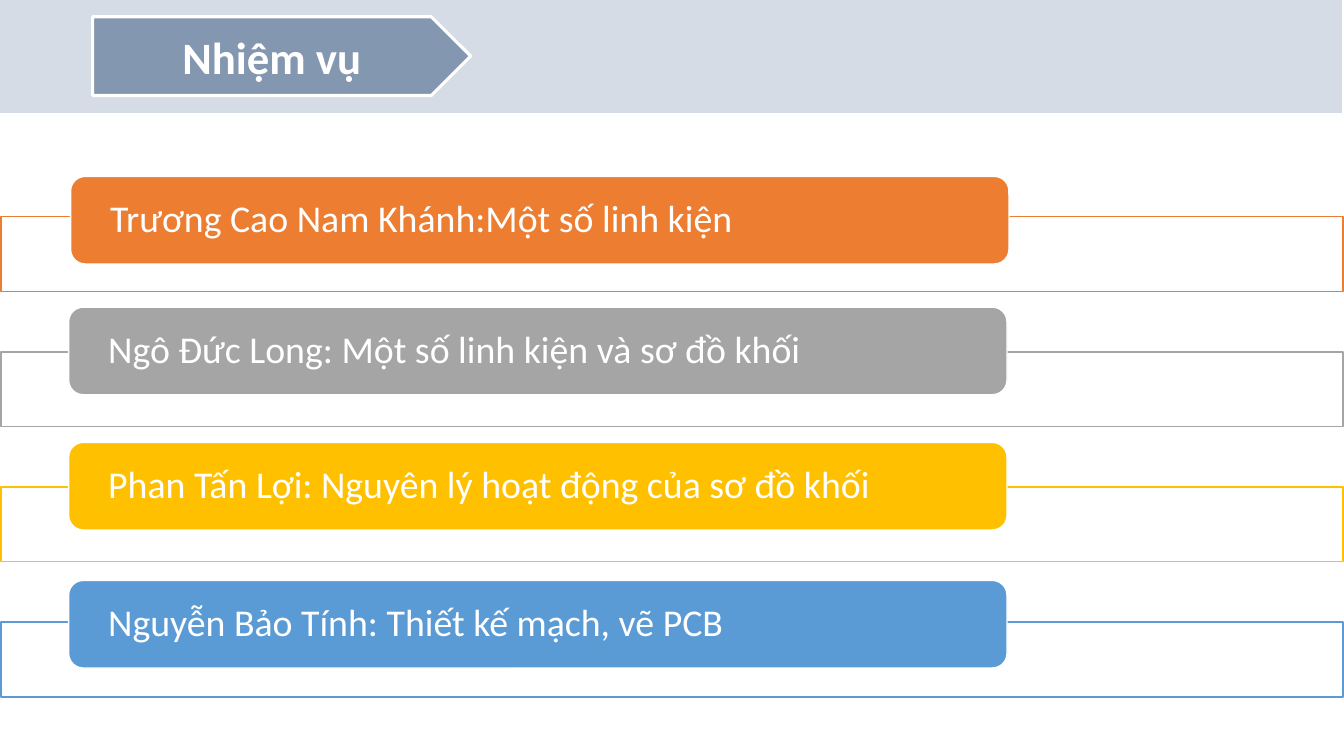
from lxml import etree
from pptx import Presentation
from pptx.dml.color import RGBColor
from pptx.enum.shapes import MSO_SHAPE
from pptx.enum.text import MSO_ANCHOR, MSO_AUTO_SIZE, PP_ALIGN
from pptx.oxml.ns import qn
from pptx.util import Pt

RECTANGLE = MSO_SHAPE.RECTANGLE
ROUNDED = MSO_SHAPE.ROUNDED_RECTANGLE
PENTAGON = MSO_SHAPE.PENTAGON
MIDDLE = MSO_ANCHOR.MIDDLE
NO_AUTOFIT = MSO_AUTO_SIZE.NONE
LEFT, CENTER = PP_ALIGN.LEFT, PP_ALIGN.CENTER

COLORS = {
    "white": "FFFFFF",
    "band": "D6DCE5",
    "banner": "8497B0",
    "orange": "ED7D31",
    "gray": "A5A5A5",
    "gold": "FFC000",
    "blue": "5B9BD5",
}
TASKS = [
    ("Trương Cao Nam Khánh:Một số linh kiện", "orange", 50.4, 126),
    ("Ngô Đức Long: Một số linh kiện và sơ đồ khối", "gray", 49, 219.4),
    ("Phan Tấn Lợi: Nguyên lý hoạt động của sơ đồ khối", "gold", 49, 316),
    ("Nguyễn Bảo Tính: Thiết kế mạch, vẽ PCB", "blue", 49, 414.6),
]
FRAME_TOP, FRAME_PITCH = 154.8, 96.5


def rgb(name):
    return RGBColor.from_string(COLORS[name])


def write(holder, text, size, bold=False, align=LEFT, inset=0, spacing=1.0):
    frame = holder.text_frame
    frame.word_wrap = True
    frame.auto_size = NO_AUTOFIT
    frame.vertical_anchor = MIDDLE
    frame.margin_left = frame.margin_right = Pt(inset)
    frame.margin_top = frame.margin_bottom = 0
    paragraph = frame.paragraphs[0]
    paragraph.alignment = align
    paragraph.line_spacing = spacing
    run = paragraph.add_run()
    run.text = text
    run.font.name = "Calibri"
    run.font.size = Pt(size)
    run.font.bold = bold
    run.font.color.rgb = rgb("white")


class TaskSlide:
    """Draws styled elements on one slide, with lengths in points."""

    def __init__(self, deck):
        self.slide = deck.slides.add_slide(deck.slide_layouts[5])

    def shape(self, kind, box, fill, line=None, line_width=1):
        shape = self.slide.shapes.add_shape(kind, *map(Pt, box))
        shape.shadow.inherit = False
        shape.fill.solid()
        shape.fill.fore_color.rgb = rgb(fill)
        if line:
            shape.line.color.rgb = rgb(line)
            shape.line.width = Pt(line_width)
        else:
            shape.line.fill.background()
        return shape

    def title(self, text, box):
        title = self.slide.shapes.title
        title.left, title.top, title.width, title.height = map(Pt, box)
        write(title, text, 32, bold=True, align=CENTER)
        title.element.getparent().append(title.element)

    def frame(self, top, color):
        frame = self.shape(RECTANGLE, (0.7, top, 958.5, 53.5), "white", color)
        fill_color = frame.element.spPr.find(qn("a:solidFill"))[0]
        etree.SubElement(fill_color, qn("a:alpha"), val="90000")

    def card(self, text, color, left, top):
        card = self.shape(ROUNDED, (left, top, 670.3, 62.6), color, "white")
        write(card, text, 27, inset=25.2, spacing=0.9)


def main():
    deck = Presentation()
    deck.slide_width, deck.slide_height = Pt(960), Pt(540)
    page = TaskSlide(deck)
    page.shape(RECTANGLE, (-2, -0.7, 960.5, 81.4), "band")
    page.shape(PENTAGON, (66.2, 12, 270, 56.2), "banner", "white", 2.25)
    page.title("Nhiệm vụ", (66.2, 12, 256, 56.2))
    for row, (text, color, left, top) in enumerate(TASKS):
        page.frame(FRAME_TOP + row * FRAME_PITCH, color)
        page.card(text, color, left, top)
    deck.save("out.pptx")


if __name__ == "__main__":
    main()
